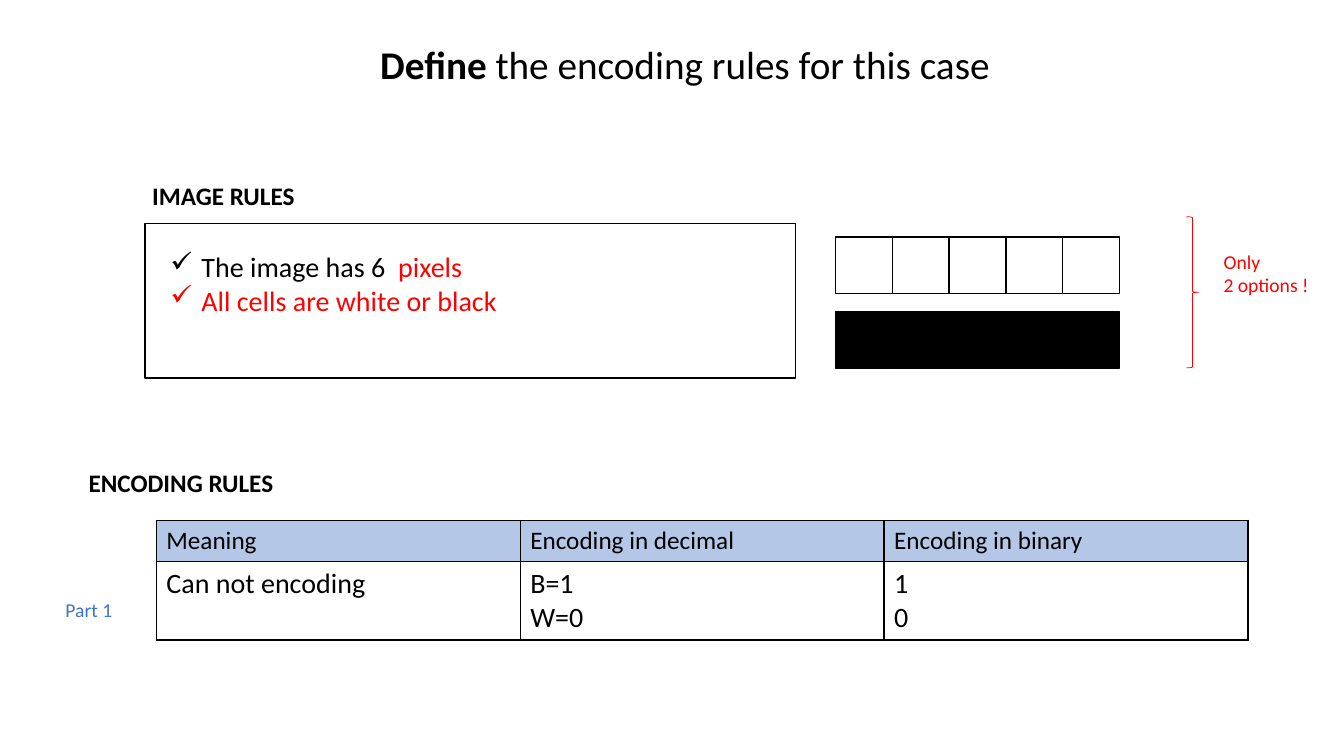
import pptx
import pptx.dml.color
import pptx.enum.shapes
import pptx.enum.text
import pptx.oxml.ns
import pptx.util
from lxml import etree

SLIDE_WIDTH = pptx.util.Inches(13.33)
SLIDE_HEIGHT = pptx.util.Inches(7.5)
GRID = 100
FONT = "Calibri"
COLOURS = {"black": "000000", "white": "FFFFFF", "red": "FF0000",
           "blue": "4472C4", "header": "B4C7E7"}
SHAPES = pptx.enum.shapes.MSO_SHAPE


def columns(count):
    """Return the length of a number of grid columns."""
    return round(SLIDE_WIDTH * count / GRID)


def rows(count):
    """Return the length of a number of grid rows."""
    return round(SLIDE_HEIGHT * count / GRID)


def place(left, top, width, height):
    """Turn a grid position and size into slide lengths."""
    return columns(left), rows(top), columns(width), rows(height)


def rgb(name):
    """Return a named colour."""
    return pptx.dml.color.RGBColor.from_string(COLOURS[name])


def add_run(para, text, size, colour="black", bold=False):
    """Add one formatted run to a paragraph."""
    span = para.add_run()
    span.text = text
    span.font.name = FONT
    span.font.size = pptx.util.Pt(size)
    span.font.bold = bold
    span.font.color.rgb = rgb(colour)


def fill_text(frame, paragraphs, size):
    """Write paragraphs, each a list of runs, and return them."""
    for index, runs in enumerate(paragraphs):
        para = frame.add_paragraph() if index else frame.paragraphs[0]
        for run in runs:
            add_run(para, run[0], size, *run[1:])
    return frame.paragraphs


def add_text(page, area, paragraphs, size, wrap=False):
    """Add a text box that fits its text and return its paragraphs."""
    frame = page.shapes.add_textbox(*place(*area)).text_frame
    frame.word_wrap = wrap
    frame.auto_size = pptx.enum.text.MSO_AUTO_SIZE.SHAPE_TO_FIT_TEXT
    return fill_text(frame, paragraphs, size)


def add_check_mark(para):
    """Give a paragraph a hanging check mark bullet."""
    properties = para._p.get_or_add_pPr()
    indent = pptx.util.Inches(0.31)
    properties.set("marL", str(indent))
    properties.set("indent", str(-indent))
    etree.SubElement(properties, pptx.oxml.ns.qn("a:buChar"), char="✓")


def add_outline(page, kind, area, line="black", weight=1, fill=None):
    """Add an outlined preset shape with an optional fill."""
    shape = page.shapes.add_shape(kind, *place(*area))
    shape.shadow.inherit = False
    shape.line.color.rgb = rgb(line)
    shape.line.width = pptx.util.Pt(weight)
    if fill:
        shape.fill.solid()
        shape.fill.fore_color.rgb = rgb(fill)
    else:
        shape.fill.background()


def add_pixel_row(page, top, fill, count=5):
    """Add a row of touching square pixels."""
    left, width, height = 62.18, 4.22, 7.5
    for index in range(count):
        area = (left + index * width, top, width, height)
        add_outline(page, SHAPES.RECTANGLE, area, fill=fill)


def add_borders(cell):
    """Draw a thin black line on every side of a cell."""
    qn = pptx.oxml.ns.qn
    properties = cell._tc.get_or_add_tcPr()
    for side in ("lnL", "lnR", "lnT", "lnB"):
        line = etree.SubElement(properties, qn(f"a:{side}"), w=str(pptx.util.Pt(1)))
        fill = etree.SubElement(line, qn("a:solidFill"))
        etree.SubElement(fill, qn("a:srgbClr"), val=COLOURS["black"])


def add_encoding_table(page, area, heights, contents):
    """Add the table of encodings with a tinted header row."""
    table = page.shapes.add_table(len(contents), len(contents[0]), *place(*area)).table
    table.first_row = False
    table.horz_banding = False
    for row_index, texts in enumerate(contents):
        table.rows[row_index].height = rows(heights[row_index])
        for column_index, lines in enumerate(texts):
            cell = table.cell(row_index, column_index)
            add_borders(cell)
            if row_index:
                cell.fill.background()
            else:
                cell.fill.solid()
                cell.fill.fore_color.rgb = rgb("header")
            fill_text(cell.text_frame, [[(line,)] for line in lines],
                      20 if row_index else 18)


def main():
    """Build the encoding rules slide and save it."""
    deck = pptx.Presentation()
    deck.slide_width, deck.slide_height = SLIDE_WIDTH, SLIDE_HEIGHT
    page = deck.slides.add_slide(deck.slide_layouts[6])

    title = [("Define", "black", True), (" the encoding rules for this case",)]
    for para in add_text(page, (22.5, 4.67, 56.93, 7.6), [title], 28, wrap=True):
        para.alignment = pptx.enum.text.PP_ALIGN.CENTER

    add_text(page, (10.58, 23.2, 12.23, 5.33), [[("IMAGE RULES", "black", True)]], 18)
    add_outline(page, SHAPES.RECTANGLE, (10.8, 29.6, 48.38, 20.4))
    image_rules = [[("The image has 6  ",), ("pixels", "red")],
                   [("All cells are white or black", "red")]]
    for para in add_text(page, (11.93, 32.4, 26.1, 10.27), image_rules, 20):
        add_check_mark(para)

    add_pixel_row(page, 31.33, "white")
    add_pixel_row(page, 41.2, "black")
    add_outline(page, SHAPES.RIGHT_BRACE, (88.28, 28.67, 0.9, 20), "red", 0.5)
    add_text(page, (90.3, 32.4, 7.88, 7.6),
             [[("Only", "red")], [("2 options !", "red")]], 14)

    add_text(page, (5.85, 61.2, 15.45, 5.33), [[("ENCODING RULES", "black", True)]], 18)
    add_text(page, (4.13, 78.4, 5.03, 4.53), [[("Part 1", "blue")]], 14)
    add_encoding_table(page, (11.63, 68.8, 81.23, 15.87), (5.47, 10.4), [
        [["Meaning"], ["Encoding in decimal"], ["Encoding in binary"]],
        [["Can not encoding"], ["B=1", "W=0"], ["1", "0"]],
    ])
    deck.save("out.pptx")


if __name__ == "__main__":
    main()
